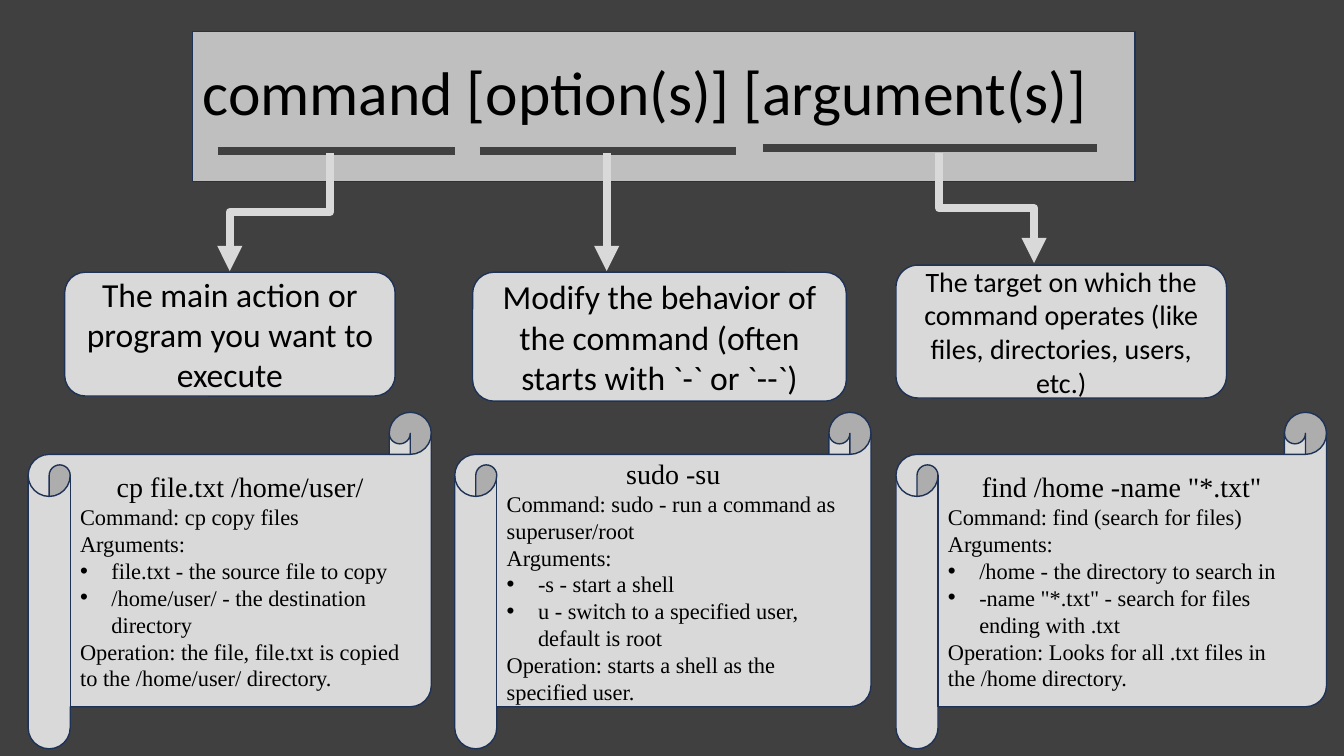
from dataclasses import dataclass

from lxml import etree
from pptx import Presentation
from pptx.dml.color import RGBColor
from pptx.enum.shapes import MSO_CONNECTOR, MSO_SHAPE
from pptx.enum.text import MSO_ANCHOR, MSO_AUTO_SIZE, PP_ALIGN
from pptx.oxml.ns import qn
from pptx.util import Cm, Pt

STRAIGHT, ELBOW = MSO_CONNECTOR.STRAIGHT, MSO_CONNECTOR.ELBOW
ROUNDED, SCROLL = MSO_SHAPE.ROUNDED_RECTANGLE, MSO_SHAPE.HORIZONTAL_SCROLL
LEFT, CENTER = PP_ALIGN.LEFT, PP_ALIGN.CENTER
MIDDLE, NO_FIT = MSO_ANCHOR.MIDDLE, MSO_AUTO_SIZE.NONE
TITLE_ONLY = 5


@dataclass(frozen=True)
class Theme:
    dark: RGBColor = RGBColor(0x40, 0x40, 0x40)
    banner: RGBColor = RGBColor(0xBF, 0xBF, 0xBF)
    panel: RGBColor = RGBColor(0xD9, 0xD9, 0xD9)
    outline: RGBColor = RGBColor(0x1E, 0x32, 0x56)
    ink: RGBColor = RGBColor(0, 0, 0)
    sans: str = "Calibri"
    serif: str = "Times New Roman"
    title: int = 44
    meaning: int = 24
    small_meaning: int = 20
    example: int = 20
    detail: int = 16
    stroke: int = 6


THEME = Theme()


@dataclass(frozen=True)
class Part:
    """One part of the syntax; all lengths in centimetres."""
    underline: tuple  # left, right, height on page
    arrow: tuple      # start x, end x, end y
    box: tuple        # left, top, width, height
    meaning: str
    size: int
    scroll: tuple     # left, top, width, height
    example: str
    command: str
    arguments: tuple
    operation: str


SCROLL_TOP, SCROLL_HEIGHT = 10.39, 8.48
ARROW_TOP = 3.86
BANNER = (4.85, 0.79, 23.75, 3.78)

PARTS = (
    Part((5.49, 11.46, 3.81), (8.31, 5.79, 6.83), (1.63, 6.86, 8.33, 3.12),
         "The main action or program you want to execute", THEME.meaning,
         (0.71, SCROLL_TOP, 10.16, SCROLL_HEIGHT),
         "cp file.txt /home/user/", "Command: cp copy files",
         ("file.txt - the source file to copy",
          "/home/user/ - the destination directory"),
         "Operation: the file, file.txt is copied to the /home/user/ directory."),
    Part((12.09, 18.54, 3.81), (15.29, 15.29, 6.83), (11.91, 6.86, 9.42, 3.25),
         "Modify the behavior of the command (often starts with `-` or `--`)",
         THEME.meaning,
         (11.46, SCROLL_TOP, 10.49, SCROLL_HEIGHT),
         "sudo -su", "Command: sudo - run a command as superuser/root",
         ("-s - start a shell",
          "u - switch to a specified user, default is root"),
         "Operation: starts a shell as the specified user."),
    Part((19.23, 27.64, 3.73), (23.67, 26.06, 6.63), (22.58, 6.68, 8.33, 3.35),
         "The target on which the command operates (like files, directories, "
         "users, etc.)", THEME.small_meaning,
         (22.58, SCROLL_TOP, 10.85, SCROLL_HEIGHT),
         'find /home -name "*.txt"', "Command: find (search for files)",
         ("/home - the directory to search in",
          '-name "*.txt" - search for files ending with .txt'),
         "Operation: Looks for all .txt files in the /home directory."),
)


def paint(shape, color):
    shape.fill.solid()
    shape.fill.fore_color.rgb = color
    shape.line.color.rgb = THEME.outline
    shape.line.width = Pt(1)
    frame = shape.text_frame
    frame.word_wrap = True
    frame.auto_size = NO_FIT
    frame.vertical_anchor = MIDDLE


def write(para, text, size, font, align):
    para.alignment = align
    span = para.add_run()
    span.text = text
    span.font.size = Pt(size)
    span.font.name = font
    span.font.color.rgb = THEME.ink


def add_panel(page, kind, box):
    panel = page.shapes.add_shape(kind, *map(Cm, box))
    panel.shadow.inherit = False
    paint(panel, THEME.panel)
    return panel


def add_bullet(para):
    settings = para._p.get_or_add_pPr()
    settings.set("marL", str(Cm(0.79)))
    settings.set("indent", str(-Cm(0.79)))
    etree.SubElement(settings, qn("a:buFont")).set("typeface", "Arial")
    etree.SubElement(settings, qn("a:buChar")).set("char", "•")


def add_stroke(page, kind, start, end, color):
    stroke = page.shapes.add_connector(kind, *map(Cm, start + end))
    stroke.line.color.rgb = color
    stroke.line.width = Pt(THEME.stroke)
    etree.SubElement(stroke._element.spPr, qn("a:effectLst"))
    return stroke


# Banner with the command syntax
def add_banner(page, box):
    banner = page.shapes.title
    banner.left, banner.top, banner.width, banner.height = map(Cm, box)
    outline = etree.SubElement(banner._element.spPr, qn("a:prstGeom"))
    outline.set("prst", "roundRect")
    etree.SubElement(outline, qn("a:avLst"))
    paint(banner, THEME.banner)
    banner.text_frame.margin_bottom = Cm(0.89)
    para = banner.text_frame.paragraphs[0]
    para.line_spacing = 1.0
    write(para, "command [option(s)] [argument(s)]", THEME.title, THEME.sans, LEFT)


# Underline below one word of the banner
def add_underline(page, left, right, level):
    add_stroke(page, STRAIGHT, (left, level), (right, level), THEME.dark)


# Arrow from the banner down to a meaning
def add_arrow(page, start, end, bottom):
    kind = STRAIGHT if start == end else ELBOW
    arrow = add_stroke(page, kind, (start, ARROW_TOP), (end, bottom), THEME.panel)
    head = etree.SubElement(arrow.line._get_or_add_ln(), qn("a:tailEnd"))
    head.set("type", "triangle")
    if kind == ELBOW:
        # Turn the elbow so that it leaves and arrives vertically
        run, drop = abs(end - start), bottom - ARROW_TOP
        arrow.left = Cm((start + end - drop) / 2)
        arrow.top = Cm((ARROW_TOP + bottom - run) / 2)
        arrow.width, arrow.height = Cm(drop), Cm(run)
        frame = arrow._element.spPr.find(qn("a:xfrm"))
        leftward = end < start
        frame.set("rot", str((90 if leftward else 270) * 60000))
        frame.set("flipH", "0" if leftward else "1")


# Box with the meaning of one part
def add_meaning(page, box, text, size):
    panel = add_panel(page, ROUNDED, box)
    write(panel.text_frame.paragraphs[0], text, size, THEME.sans, CENTER)


# Scroll with a worked example
def add_example(page, box, part):
    frame = add_panel(page, SCROLL, box).text_frame
    write(frame.paragraphs[0], part.example, THEME.example, THEME.serif, CENTER)
    for text in (part.command, "Arguments:", *part.arguments, part.operation):
        para = frame.add_paragraph()
        write(para, text, THEME.detail, THEME.serif, LEFT)
        if text in part.arguments:
            add_bullet(para)


def main():
    deck = Presentation()
    deck.slide_width, deck.slide_height = Cm(33.87), Cm(19.05)
    page = deck.slides.add_slide(deck.slide_layouts[TITLE_ONLY])
    page.background.fill.solid()
    page.background.fill.fore_color.rgb = THEME.dark

    add_banner(page, BANNER)
    for part in PARTS:
        add_underline(page, *part.underline)
        add_meaning(page, part.box, part.meaning, part.size)
        add_arrow(page, *part.arrow)
        add_example(page, part.scroll, part)
    deck.save("out.pptx")


if __name__ == "__main__":
    main()
